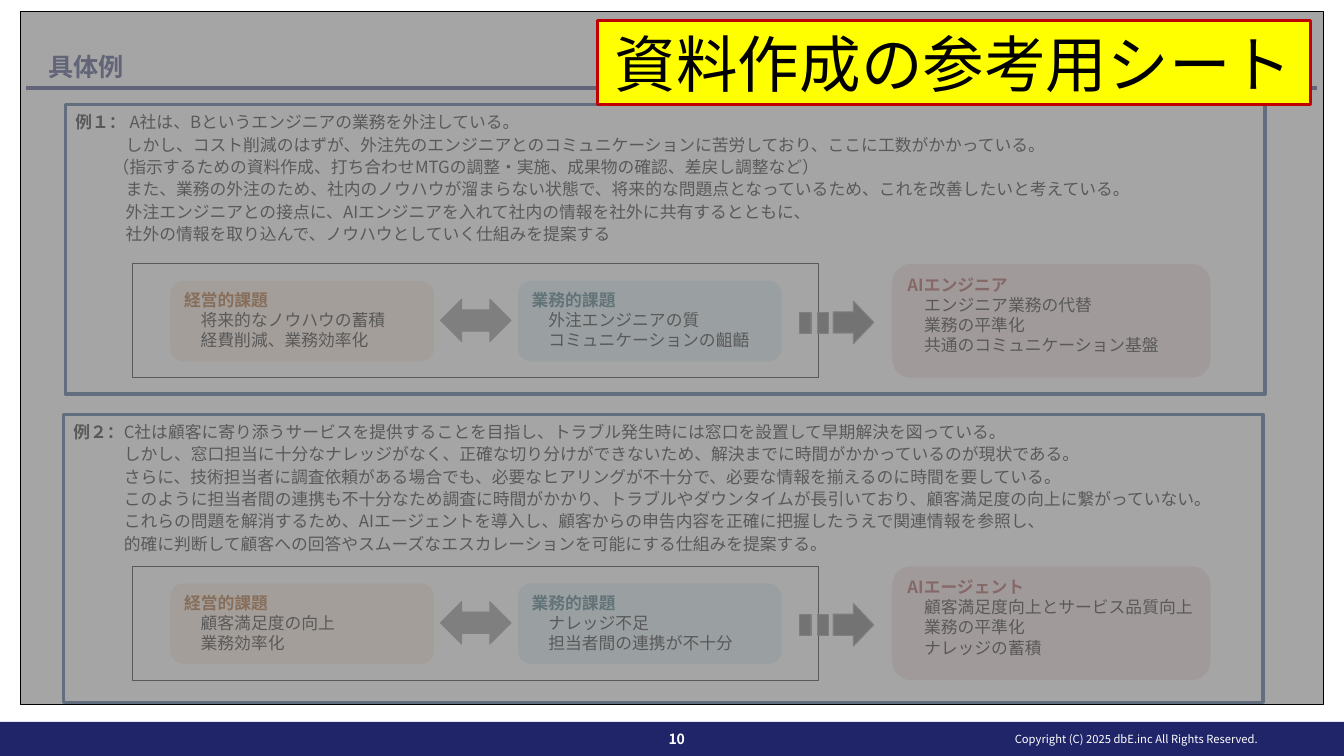
from dataclasses import dataclass
from lxml.etree import SubElement
from pptx import Presentation
from pptx.dml.color import RGBColor
from pptx.enum.shapes import MSO_CONNECTOR, MSO_SHAPE
from pptx.enum.text import MSO_ANCHOR, PP_ALIGN
from pptx.oxml.ns import qn
from pptx.util import Cm, Pt


@dataclass(frozen=True)
class Theme:
    font: str = "Noto Sans CJK JP"
    navy: str = "202569"
    white: str = "FFFFFF"
    black: str = "000000"
    frame: str = "1F497D"
    orange: tuple = ("FDEADA", "984807")
    teal: tuple = ("DBEEF4", "215968")
    red: tuple = ("F2DCDB", "953735")
    arrow: str = "808080"
    arrow_dark: str = "595959"
    veil: str = "7F7F7F"
    notice: str = "FFFF00"
    notice_line: str = "C00000"
    title: int = 18
    body: int = 12
    number: int = 10
    copyright: int = 8
    banner: int = 44
    leading: int = 16


T = Theme()

EXAMPLES = [
    {
        "box": (1.65, 2.64, 30.23, 7.29),
        "diagram": (3.35, 6.65),
        "label": "例１：",
        "lines": [
            (" A社は、Bというエンジニアの業務を外注している。", 0),
            ("しかし、コスト削減のはずが、外注先のエンジニアとのコミュニケーションに苦労しており、ここに工数がかかっている。", 1.27),
            ("（指示するための資料作成、打ち合わせMTGの調整・実施、成果物の確認、差戻し調整など）", 0.94),
            ("また、業務の外注のため、社内のノウハウが溜まらない状態で、将来的な問題点となっているため、これを改善したいと考えている。", 1.27),
            ("外注エンジニアとの接点に、AIエンジニアを入れて社内の情報を社外に共有するとともに、", 1.27),
            ("社外の情報を取り込んで、ノウハウとしていく仕組みを提案する", 1.27),
        ],
        "management": ["将来的なノウハウの蓄積", "経費削減、業務効率化"],
        "operation": ["外注エンジニアの質", "コミュニケーションの齟齬"],
        "solution": ["AIエンジニア", "エンジニア業務の代替", "業務の平準化", "共通のコミュニケーション基盤"],
    },
    {
        "box": (1.6, 10.44, 30.23, 7.26),
        "diagram": (3.35, 14.27),
        "label": "例２：",
        "lines": [
            ("C社は顧客に寄り添うサービスを提供することを目指し、トラブル発生時には窓口を設置して早期解決を図っている。", 0),
            ("しかし、窓口担当に十分なナレッジがなく、正確な切り分けができないため、解決までに時間がかかっているのが現状である。", 1.27),
            ("さらに、技術担当者に調査依頼がある場合でも、必要なヒアリングが不十分で、必要な情報を揃えるのに時間を要している。", 1.27),
            ("このように担当者間の連携も不十分なため調査に時間がかかり、トラブルやダウンタイムが長引いており、顧客満足度の向上に繋がっていない。", 1.27),
            ("これらの問題を解消するため、AIエージェントを導入し、顧客からの申告内容を正確に把握したうえで関連情報を参照し、", 1.27),
            ("的確に判断して顧客への回答やスムーズなエスカレーションを可能にする仕組みを提案する。", 1.27),
        ],
        "management": ["顧客満足度の向上", "業務効率化"],
        "operation": ["ナレッジ不足", "担当者間の連携が不十分"],
        "solution": ["AIエージェント", "顧客満足度向上とサービス品質向上", "業務の平準化", "ナレッジの蓄積"],
    },
]


def style(font, size, color, bold=False):
    font.size, font.bold = Pt(size), bold
    font.color.rgb = RGBColor.from_string(color)
    font.name = T.font
    SubElement(font._rPr, qn("a:ea"), typeface=T.font)


def indent(p, first):
    p._p.get_or_add_pPr().set("indent", str(Cm(first)))


def add_block(s, kind, box, fill, line=None, width=0.75):
    sp = s.shapes.add_shape(kind, *map(Cm, box))
    sp.shadow.inherit = False
    sp.fill.solid()
    sp.fill.fore_color.rgb = RGBColor.from_string(fill)
    if line:
        sp.line.color.rgb = RGBColor.from_string(line)
        sp.line.width = Pt(width)
    else:
        sp.line.fill.background()
    return sp


def write_line(sp, text, size, color, bold=False, align=PP_ALIGN.CENTER):
    tf = sp.text_frame
    tf.word_wrap = True
    tf.vertical_anchor = MSO_ANCHOR.MIDDLE
    p = tf.paragraphs[0]
    p.text, p.alignment = text, align
    style(p.font, size, color, bold)


def add_label(s, box, *args, **kwargs):
    write_line(s.shapes.add_textbox(*map(Cm, box)), *args, **kwargs)


def new_paragraph(tf, i):
    p = tf.add_paragraph() if i else tf.paragraphs[0]
    p.alignment = PP_ALIGN.LEFT
    return p


def add_header(s, x, y, w):
    rule = s.shapes.add_connector(
        MSO_CONNECTOR.STRAIGHT, Cm(x), Cm(y + 1.07), Cm(x + w), Cm(y + 1.07))
    rule.line.color.rgb = RGBColor.from_string(T.navy)
    rule.line.width = Pt(3)
    SubElement(rule._element.spPr, qn("a:effectLst"))
    add_label(s, (x + 0.31, y, w - 0.56, 1.09), "具体例",
              T.title, T.navy, True, PP_ALIGN.LEFT)


def add_footer(s, x, y, w, h):
    add_block(s, MSO_SHAPE.RECTANGLE, (x, y, w, h), T.navy)
    add_label(s, (x + 14.58, y, 4.95, h), "10", T.number, T.white, True)
    add_label(s, (x + 23.44, y - 0.08, 10.41, 1.02),
              "Copyright (C) 2025 dbE.inc All Rights Reserved.", T.copyright, T.white)


def add_card(s, box, colors, lines):
    fill, accent = colors
    tf = add_block(s, MSO_SHAPE.ROUNDED_RECTANGLE, box, fill).text_frame
    tf.vertical_anchor = MSO_ANCHOR.TOP
    for i, text in enumerate(lines):
        p = new_paragraph(tf, i)
        p.text = text
        if i:
            indent(p, 0.42)
        style(p.font, T.body, T.black if i else accent, i == 0)


def add_diagram(s, x, y, example):
    add_block(s, MSO_SHAPE.RECTANGLE, (x, y, 17.27, 2.87), T.white, T.black)
    add_card(s, (x + 0.94, y + 0.43, 6.65, 2.03), T.orange,
             ["経営的課題", *example["management"]])
    add_card(s, (x + 9.7, y + 0.43, 6.65, 2.03), T.teal,
             ["業務的課題", *example["operation"]])
    add_card(s, (x + 19.13, y, 8.03, 2.87), T.red, example["solution"])
    add_block(s, MSO_SHAPE.LEFT_RIGHT_ARROW, (x + 7.75, y + 0.89, 1.78, 1.07),
              T.arrow, T.arrow)
    for i in range(2):
        add_block(s, MSO_SHAPE.RECTANGLE, (x + 16.81 + 0.44 * i, y + 1.22, 0.28, 0.53),
                  T.arrow_dark, T.arrow)
    add_block(s, MSO_SHAPE.RIGHT_ARROW, (x + 17.65, y + 0.94, 1.02, 1.07),
              T.arrow_dark, T.arrow)


def add_example(s, box, example):
    tf = add_block(s, MSO_SHAPE.RECTANGLE, box, T.white, T.frame, 2.25).text_frame
    tf.vertical_anchor = MSO_ANCHOR.TOP
    for i, (text, first) in enumerate(example["lines"]):
        p = new_paragraph(tf, i)
        p.line_spacing = Pt(T.leading)
        indent(p, first)
        if i:
            p.text = text
            style(p.font, T.body, T.black)
            continue
        for part, bold in ((example["label"], True), (text, False)):
            r = p.add_run()
            r.text = part
            style(r.font, T.body, T.black, bold)
    add_diagram(s, *example["diagram"], example)


def add_veil(s, box):
    sp = add_block(s, MSO_SHAPE.RECTANGLE, box, T.veil, T.black)
    color = sp._element.spPr.find(qn("a:solidFill")).find(qn("a:srgbClr"))
    SubElement(color, qn("a:alpha"), val="70000")


def add_notice(s, box):
    sp = add_block(s, MSO_SHAPE.RECTANGLE, box, T.notice, T.notice_line, 2.25)
    write_line(sp, "資料作成の参考用シート", T.banner, T.black)


def main():
    prs = Presentation()
    prs.slide_width, prs.slide_height = Cm(33.87), Cm(19.05)
    s = prs.slides.add_slide(prs.slide_layouts[6])
    add_footer(s, 0, 18.19, 33.87, 0.86)
    add_header(s, 0.66, 1.14, 32.54)
    for example in EXAMPLES:
        add_example(s, example["box"], example)
    add_veil(s, (0.51, 0.28, 32.84, 17.48))
    add_notice(s, (15.06, 0.51, 17.96, 2.13))
    prs.save("out.pptx")


if __name__ == "__main__":
    main()
